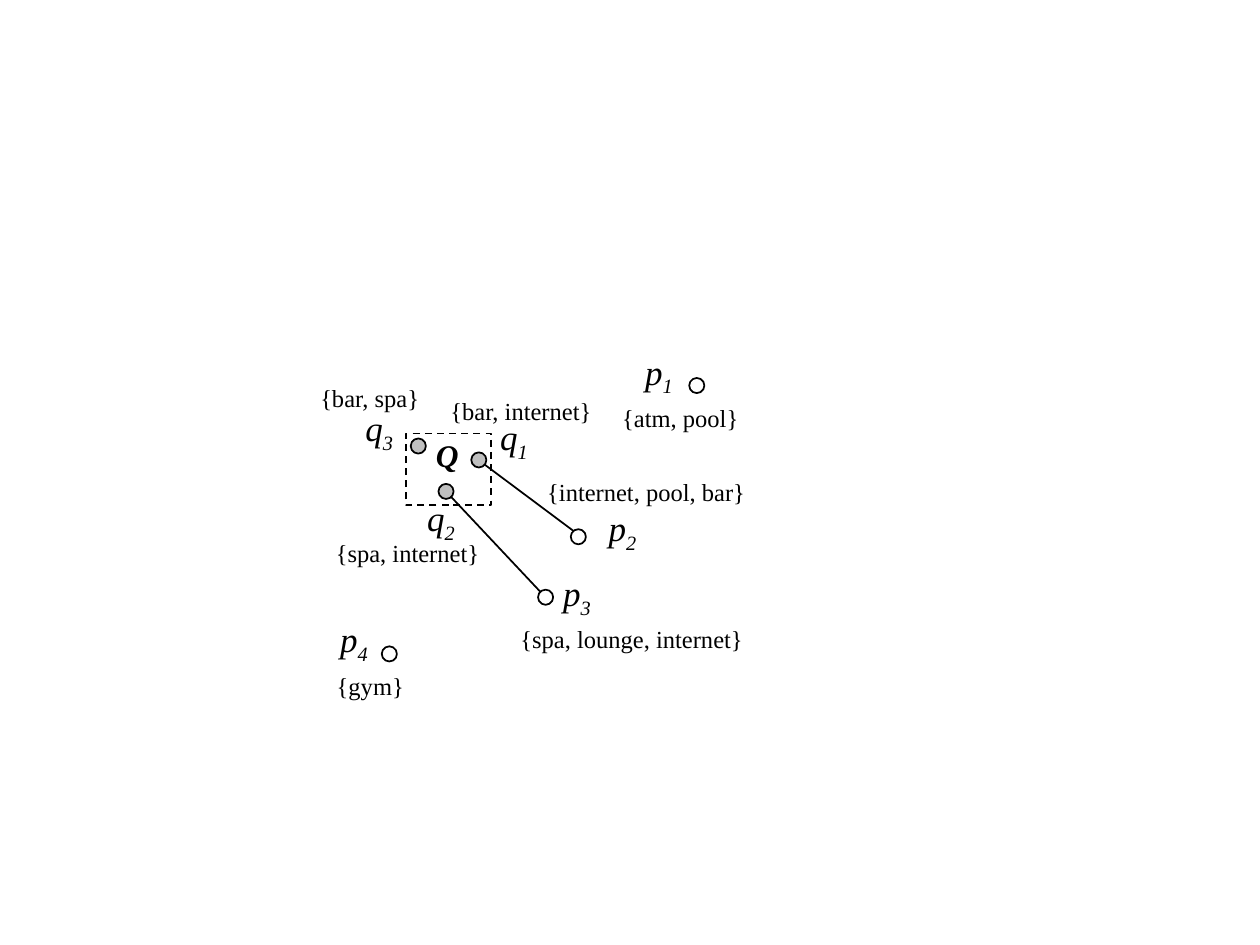
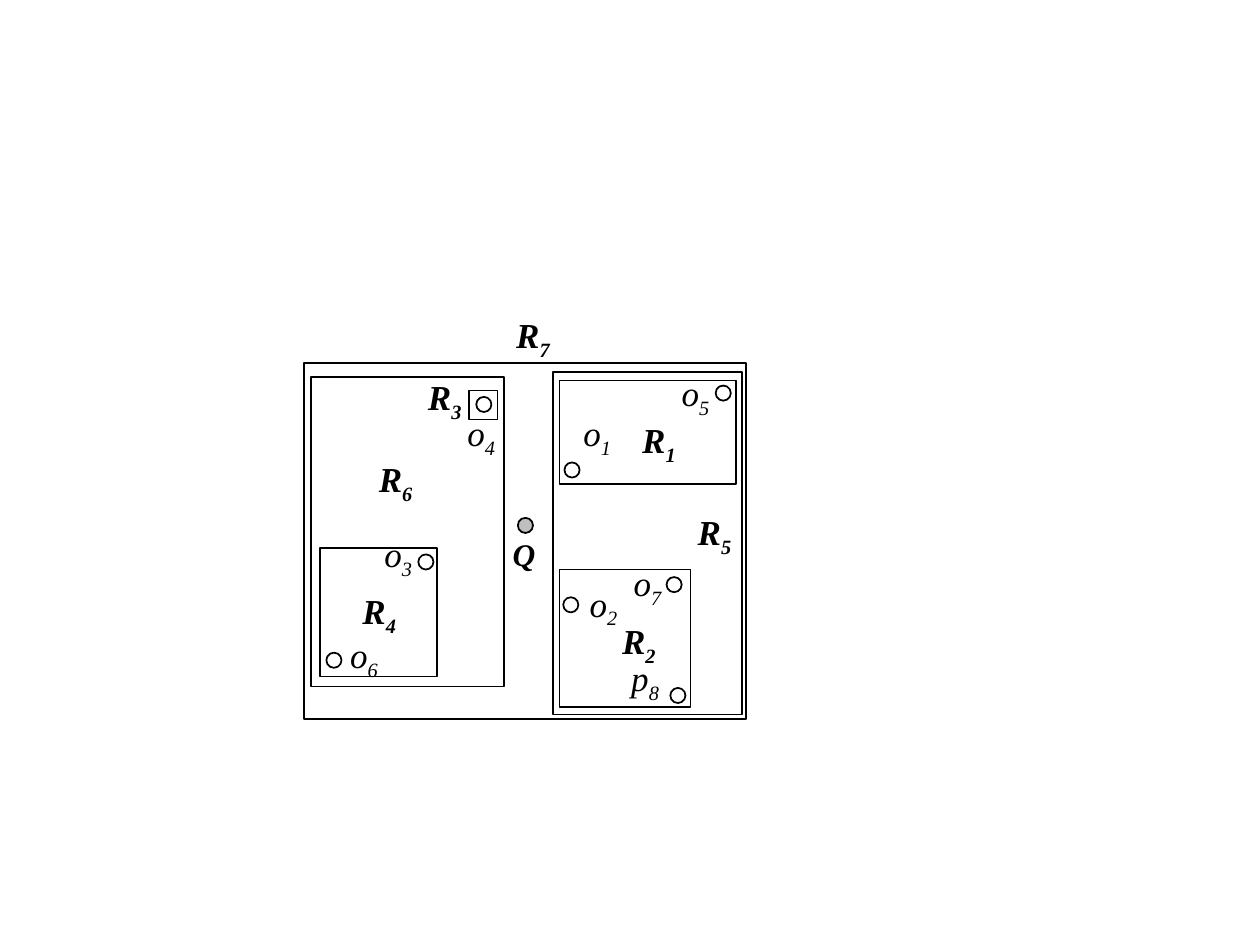
"""Draw two spatial diagrams: keyword matches, and nested bounding boxes."""
import pptx
import pptx.dml.color
import pptx.enum.dml
import pptx.enum.shapes
import pptx.enum.text
import pptx.util
from pptx.util import Inches

THEME = {
    "font": "Times New Roman", "ink": "000000", "white": "FFFFFF", "grey": "BFBFBF",
    "name": 20, "query": 18, "tag": 14, "line": 1,
}
DOT = 0.12
NAME = (0.56, 0.48)
QUERY = (0.56, 0.4)
TAG_HIGH = 0.34

MATCH = {
    "links": [(3.77, 3.63, 4.6, 4.25), (3.53, 3.89, 4.32, 4.73)],
    "boxes": [(3.22, 3.44, 0.68, 0.57, True)],
    "dots": [
        (5.53, 3.06, "white"), (4.59, 4.26, "white"), (4.33, 4.74, "white"),
        (3.09, 5.19, "white"), (3.8, 3.65, "grey"), (3.32, 3.54, "grey"),
        (3.54, 3.9, "grey"),
    ],
    "names": [
        ("p3", 4.3, 4.49), ("p2", 4.66, 3.97), ("p1", 4.95, 2.73), ("q3", 2.73, 3.18),
        ("q2", 3.22, 3.89), ("q1", 3.8, 3.25), ("p4", 2.53, 4.85),
    ],
    "tags": [
        ("{atm, pool}", 4.8, 3.15, 1.2),
        ("{internet, pool, bar}", 4.21, 3.74, 1.84),
        ("{spa, lounge, internet}", 4, 4.9, 2.03),
        ("{bar, internet}", 3.43, 3.09, 1.41),
        ("{bar, spa}", 2.42, 2.99, 1.03),
        ("{spa, internet}", 2.53, 4.22, 1.41),
        ("{gym}", 2.51, 5.28, 0.86),
    ],
    "query": (3.27, 3.41),
}

TREE = {
    "links": [],
    "boxes": [
        (2.41, 2.88, 3.51, 2.83, False), (2.47, 2.99, 1.53, 2.46, False),
        (4.39, 2.95, 1.5, 2.72, False), (3.72, 3.1, 0.23, 0.23, False),
        (2.54, 4.35, 0.93, 1.02, False), (4.44, 3.02, 1.4, 0.82, False),
        (4.44, 4.52, 1.04, 1.09, False),
    ],
    "dots": [
        (4.17, 4.17, "grey"), (3.84, 3.21, "white"), (2.65, 5.24, "white"),
        (3.38, 4.46, "white"), (4.54, 3.73, "white"), (5.74, 3.12, "white"),
        (5.35, 4.64, "white"), (4.53, 4.8, "white"), (5.38, 5.52, "white"),
    ],
    "names": [
        ("o4", 3.54, 3.22), ("o1", 4.46, 3.22), ("o5", 5.24, 2.9), ("o3", 2.88, 4.18),
        ("o6", 2.61, 4.98), ("o2", 4.51, 4.57), ("o7", 4.86, 4.41), ("p8", 4.84, 5.16),
        ("R1", 4.95, 3.27), ("R2", 4.79, 4.87), ("R3", 3.25, 2.93), ("R4", 2.73, 4.63),
        ("R5", 5.39, 4), ("R6", 2.86, 3.58), ("R7", 3.95, 2.44),
    ],
    "tags": [],
    "query": (3.88, 4.2),
}


def tint(key):
    return pptx.dml.color.RGBColor.from_string(THEME[key])


def stroke(line):
    line.color.rgb = tint("ink")
    line.width = pptx.util.Pt(THEME["line"])


def shape(slide, kind, area, fill=None):
    item = slide.shapes.add_shape(kind, *map(Inches, area))
    item.shadow.inherit = False
    stroke(item.line)
    if fill:
        item.fill.solid()
        item.fill.fore_color.rgb = tint(fill)
    else:
        item.fill.background()
    return item


def link(slide, ends):
    kind = pptx.enum.shapes.MSO_CONNECTOR.STRAIGHT
    item = slide.shapes.add_connector(kind, *map(Inches, ends))
    stroke(item.line)
    item._element.spPr.append(pptx.oxml.xmlchemy.OxmlElement("a:effectLst"))


def label(slide, area, size, text, sub="", bold=False, slant=True):
    frame = slide.shapes.add_textbox(*map(Inches, area)).text_frame
    frame.word_wrap = True
    frame.auto_size = pptx.enum.text.MSO_AUTO_SIZE.SHAPE_TO_FIT_TEXT
    para = frame.paragraphs[0]
    para.alignment = pptx.enum.text.PP_ALIGN.CENTER
    for part, base in ((text, 0), (sub, -25000)):
        if not part:
            continue
        run = para.add_run()
        run.text = part
        font = run.font
        font.name, font.size = THEME["font"], pptx.util.Pt(THEME[size])
        font.bold, font.italic = bold, slant
        font.color.rgb = tint("ink")
        if base:
            run._r.get_or_add_rPr().set("baseline", str(base))


def draw(slide, plan):
    forms = pptx.enum.shapes.MSO_SHAPE
    for ends in plan["links"]:
        link(slide, ends)
    for *area, dashed in plan["boxes"]:
        box = shape(slide, forms.RECTANGLE, area)
        if dashed:
            box.line.dash_style = pptx.enum.dml.MSO_LINE.DASH
    for x, y, fill in plan["dots"]:
        shape(slide, forms.OVAL, (x - DOT / 2, y - DOT / 2, DOT, DOT), fill)
    for (text, sub), x, y in plan["names"]:
        label(slide, (x, y, *NAME), "name", text, sub, bold=text == "R")
    for text, x, y, wide in plan["tags"]:
        label(slide, (x, y, wide, TAG_HIGH), "tag", text, slant=False)
    label(slide, (*plan["query"], *QUERY), "query", "Q", bold=True)


def main():
    deck = pptx.Presentation()
    deck.slide_width, deck.slide_height = Inches(10), Inches(7.5)
    for plan in (MATCH, TREE):
        draw(deck.slides.add_slide(deck.slide_layouts[6]), plan)
    deck.save("out.pptx")


if __name__ == "__main__":
    main()
